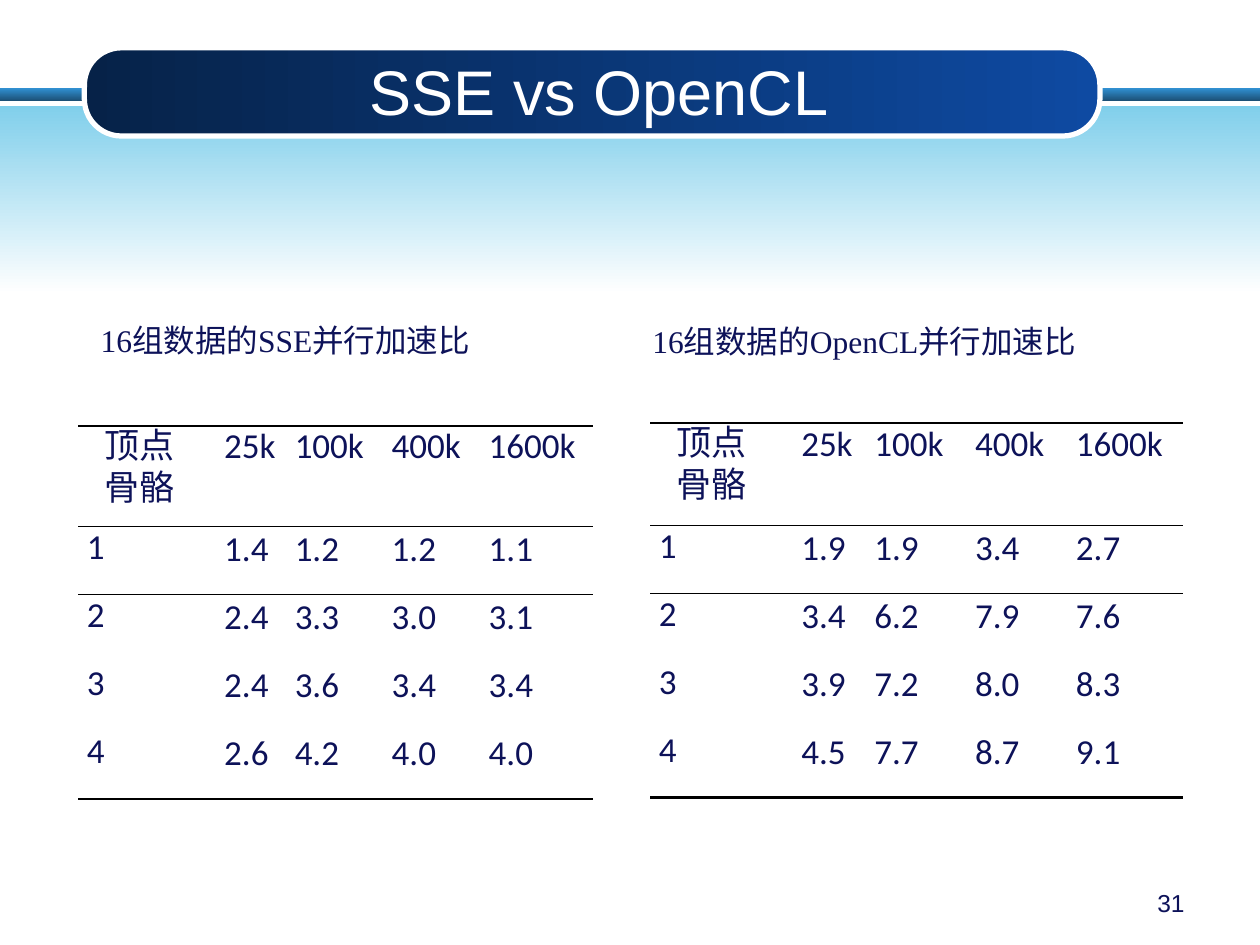
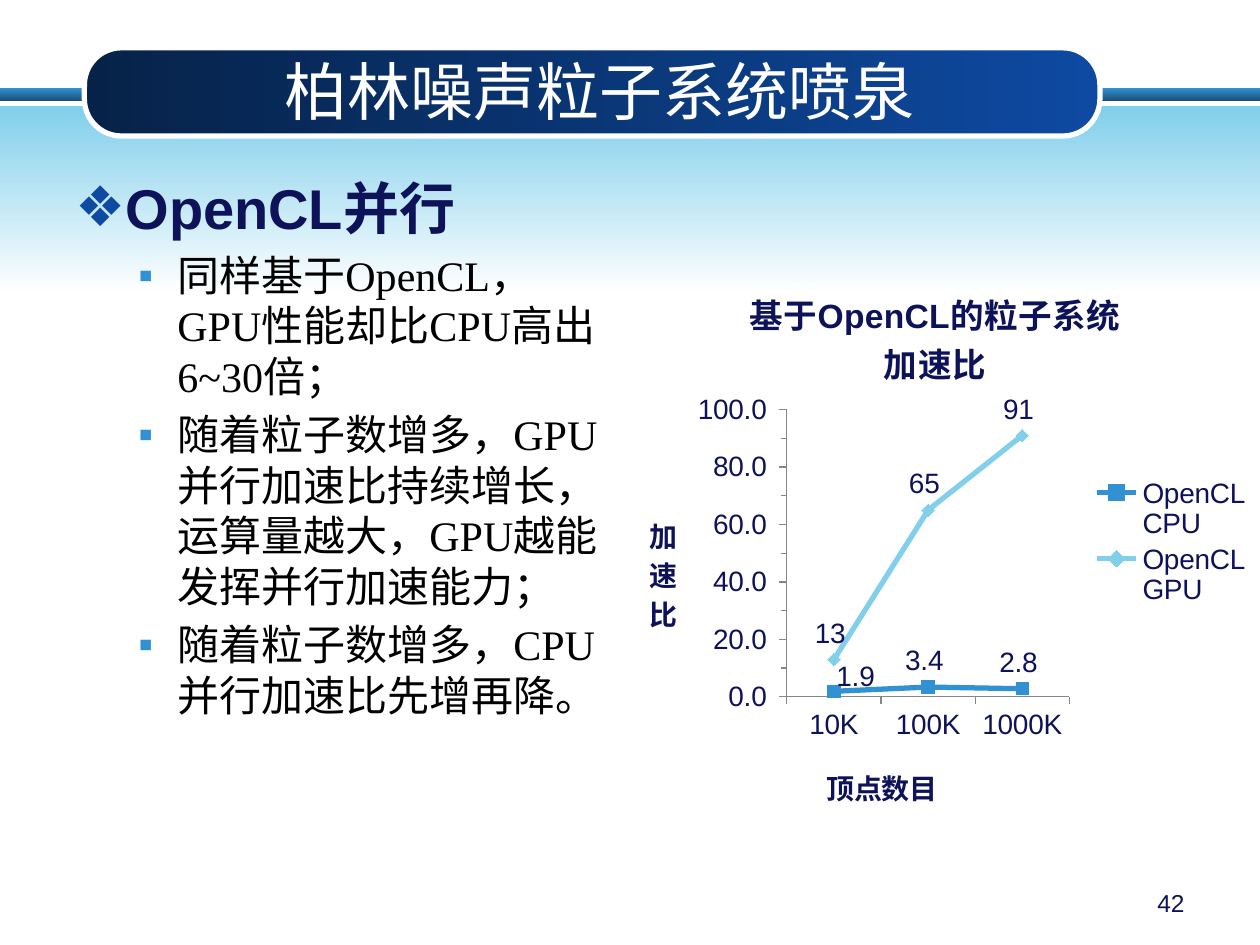
"""Builds two slides on OpenCL speed-ups: paired tables and a particle-system chart."""
from lxml import etree
from pptx import Presentation
from pptx.chart.data import CategoryChartData
from pptx.dml.color import RGBColor
from pptx.enum.chart import (XL_CHART_TYPE, XL_LABEL_POSITION, XL_LEGEND_POSITION,
                             XL_MARKER_STYLE, XL_TICK_MARK)
from pptx.enum.shapes import MSO_SHAPE
from pptx.enum.text import MSO_ANCHOR, PP_ALIGN
from pptx.oxml import parse_xml
from pptx.oxml.ns import nsdecls, qn
from pptx.util import Inches, Pt

LINE_CHART = XL_CHART_TYPE.LINE_MARKERS
LABEL_ABOVE = XL_LABEL_POSITION.ABOVE
LEGEND_RIGHT = XL_LEGEND_POSITION.RIGHT
SQUARE, DIAMOND = XL_MARKER_STYLE.SQUARE, XL_MARKER_STYLE.DIAMOND
TICK_OUT = XL_TICK_MARK.OUTSIDE
RECT, ROUNDED = MSO_SHAPE.RECTANGLE, MSO_SHAPE.ROUNDED_RECTANGLE
MIDDLE, TOP = MSO_ANCHOR.MIDDLE, MSO_ANCHOR.TOP
LEFT, CENTER, RIGHT = PP_ALIGN.LEFT, PP_ALIGN.CENTER, PP_ALIGN.RIGHT
JUSTIFY = PP_ALIGN.JUSTIFY

WHITE = RGBColor(0xFF, 0xFF, 0xFF)
BLACK = RGBColor(0, 0, 0)
NAVY = RGBColor(0x0D, 0x12, 0x59)
DEEP = RGBColor(0x06, 0x22, 0x48)
ROYAL = RGBColor(0x0E, 0x4A, 0xA2)
BLUE = RGBColor(0x31, 0x91, 0xD3)
STEEL = RGBColor(0x1C, 0x50, 0x76)
SKY = RGBColor(0x81, 0xCF, 0xEB)
GRAY = RGBColor(0x86, 0x86, 0x86)
ARIAL, CALIBRI, TIMES = "Arial", "Calibri", "Times New Roman"
NO_TABLE_STYLE = "{2D5ABB26-0587-4C30-8999-92F81FD0307C}"

BANDS = [
    (RECT, (0, 0.7, 10, 0.1), (BLUE, STEEL), 270),
    (RECT, (0, 0.84, 10, 1.49), (SKY, WHITE), 270),
    (ROUNDED, (0.67, 0.38, 8.06, 0.7), (DEEP, ROYAL), 0),
]

CORNER = ["顶点", "骨骼"]
VERTEX_COUNTS = ["25k", "100k", "400k", "1600k"]
SPEEDUP_TABLES = [
    dict(caption="16组数据的SSE并行加速比", caption_at=(0.7, 2.5, 4.3, 0.4),
         corner_at=(0.62, 3.38), widths=[1.09, 0.56, 0.77, 0.77, 0.9], header=0.8,
         rows=[["1.4", "1.2", "1.2", "1.1"], ["2.4", "3.3", "3.0", "3.1"],
               ["2.4", "3.6", "3.4", "3.4"], ["2.6", "4.2", "4.0", "4.0"]]),
    dict(caption="16组数据的OpenCL并行加速比", caption_at=(5.08, 2.51, 4.3, 0.4),
         corner_at=(5.16, 3.36), widths=[1.13, 0.58, 0.8, 0.8, 0.92], header=0.81,
         rows=[["1.9", "1.9", "3.4", "2.7"], ["3.4", "6.2", "7.9", "7.6"],
               ["3.9", "7.2", "8.0", "8.3"], ["4.5", "7.7", "8.7", "9.1"]]),
]
ROW_HEIGHT = 0.54

FOUNTAIN_HEADING = "OpenCL并行"
FOUNTAIN_POINTS = [
    "同样基于OpenCL，GPU性能却比CPU高出6~30倍；",
    "随着粒子数增多，GPU并行加速比持续增长，运算量越大，GPU越能发挥并行加速能力；",
    "随着粒子数增多，CPU并行加速比先增再降。",
]
CHART_TITLE = ["基于OpenCL的粒子系统", "加速比"]
PARTICLE_COUNTS = ["10K", "100K", "1000K"]
DEVICES = [
    ("OpenCL\nCPU", [1.9, 3.4, 2.8], BLUE, SQUARE, "0.0_ "),
    ("OpenCL\nGPU", [13, 65, 91], SKY, DIAMOND, "0_ "),
]


def write(frame, text, size=20, color=NAVY, font=ARIAL, bold=False, align=LEFT,
          before=0, exact=None, indent=None, bullet=None, bullet_color=None):
    """Add one formatted paragraph, filling the first one when it is empty."""
    first = frame.paragraphs[0]
    paragraph = frame.add_paragraph() if first.text else first
    properties = paragraph._p.get_or_add_pPr()
    paragraph.alignment = align
    if before:
        paragraph.space_before = Pt(before)
    if exact:
        paragraph.line_spacing = Pt(exact)
    if indent:
        margin, hanging = indent
        properties.set("marL", str(Inches(margin)))
        properties.set("indent", str(Inches(hanging)))
    if bullet:
        tint = etree.SubElement(properties, qn("a:buClr"))
        etree.SubElement(tint, qn("a:srgbClr"), val=str(bullet_color))
        etree.SubElement(properties, qn("a:buFont"), typeface=ARIAL)
        etree.SubElement(properties, qn("a:buChar"), char=bullet)
    run = paragraph.add_run()
    run.text = text
    run.font.size, run.font.bold, run.font.name = Pt(size), bold, font
    run.font.color.rgb = color


def inches(box):
    """Turn a tuple of inches into lengths."""
    return [Inches(length) for length in box]


def add_text_frame(slide, box):
    """Add a wrapping text box and return its frame."""
    frame = slide.shapes.add_textbox(*inches(box)).text_frame
    frame.word_wrap = True
    return frame


def start_slide(deck, heading, number):
    """Add a slide with the shared bands, title and page number."""
    slide = deck.slides.add_slide(deck.slide_layouts[5])
    for preset, box, stops, angle in BANDS:
        band = slide.shapes.add_shape(preset, *inches(box))
        band.shadow.inherit = False
        band.fill.gradient()
        band.fill.gradient_angle = angle
        for stop, color in zip(band.fill.gradient_stops, stops):
            stop.color.rgb = color
        if preset == ROUNDED:
            band.adjustments[0] = 0.42
            band.line.color.rgb, band.line.width = WHITE, Pt(3)
        else:
            band.line.fill.background()
    title = slide.shapes.title
    band.element.addnext(title.element)
    title.left, title.top, title.width, title.height = inches((0.92, 0.41, 7.67, 0.62))
    title.text_frame.vertical_anchor = MIDDLE
    write(title.text_frame, heading, size=36, color=WHITE, align=CENTER)
    write(add_text_frame(slide, (7.17, 7, 2.33, 0.35)), number, size=14, align=RIGHT)
    return slide


def rule_cell(cell, side, points):
    """Draw a black border on the top (lnT) or bottom (lnB) of a cell."""
    cell._tc.get_or_add_tcPr().insert(0, parse_xml(
        f'<a:{side} {nsdecls("a")} w="{Pt(points)}"><a:solidFill>'
        f'<a:srgbClr val="{BLACK}"/></a:solidFill></a:{side}>'))


def add_speedup_table(slide, caption, caption_at, corner_at, widths, header, rows):
    """Add a caption and a three-rule table of speed-ups."""
    write(add_text_frame(slide, caption_at), caption, size=18, font=TIMES)
    grid = [[CORNER] + [[count] for count in VERTEX_COUNTS]]
    grid += [[[str(bones)]] + [[value] for value in row]
             for bones, row in enumerate(rows, 1)]
    heights = [header] + [ROW_HEIGHT] * len(rows)
    table = slide.shapes.add_table(len(grid), len(widths), *inches(
        (*corner_at, sum(widths), sum(heights)))).table
    table.first_row = table.horz_banding = False
    table._tbl.tblPr.find(qn("a:tableStyleId")).text = NO_TABLE_STYLE
    for column, width in zip(table.columns, widths):
        column.width = Inches(width)
    last = len(rows)
    for r, (row, height) in enumerate(zip(grid, heights)):
        table.rows[r].height = Inches(height)
        for c, lines in enumerate(row):
            cell = table.cell(r, c)
            label = r == 0 or c == 0
            cell.fill.background()
            cell.margin_left = cell.margin_right = Inches(0.07)
            cell.margin_top, cell.margin_bottom = Inches(0.17 if label else 0), 0
            cell.vertical_anchor = TOP if label else MIDDLE
            for i, line in enumerate(lines):
                write(cell.text_frame, line, align=JUSTIFY, exact=12, before=12 * i,
                      font=TIMES if lines is CORNER else CALIBRI,
                      indent=(0, 0.14) if lines is CORNER else None)
            if r in (0, last):
                rule_cell(cell, "lnB", 1 if r == 0 else 1.5)
            if r in (0, 1):
                rule_cell(cell, "lnT", 1.5 if r == 0 else 1)


def layout_xml(x, y, w=None, h=None, inner=False, offset=False):
    """Build a manual chart layout from fractions of the chart."""
    target = '<c:layoutTarget val="inner"/>' if inner else ""
    modes = "" if offset else '<c:xMode val="edge"/><c:yMode val="edge"/>'
    sizes = f'<c:w val="{w}"/><c:h val="{h}"/>' if w else ""
    return parse_xml(f'<c:layout {nsdecls("c")}><c:manualLayout>{target}{modes}'
                     f'<c:x val="{x}"/><c:y val="{y}"/>{sizes}</c:manualLayout></c:layout>')


def place(parent, after, layout):
    """Put a layout in a chart part, behind the child it must follow."""
    for stale in parent.findall(qn("c:layout")):
        parent.remove(stale)
    if after is None:
        parent.insert(0, layout)
    else:
        parent.find(qn(after)).addnext(layout)


def add_title(owner, lines, size, x, y):
    """Give a chart or an axis a bold title at a fixed place."""
    owner.has_title = True
    title = owner.chart_title if hasattr(owner, "chart_title") else owner.axis_title
    for line in lines:
        write(title.text_frame, line, size=size, bold=True, align=CENTER)
    place(title._element, "c:tx", layout_xml(x, y))
    return title


def add_speedup_chart(slide):
    """Add the line chart of CPU and GPU speed-ups."""
    data = CategoryChartData()
    data.categories = PARTICLE_COUNTS
    for name, values, *_ in DEVICES:
        data.add_series(name, values)
    chart = slide.shapes.add_chart(LINE_CHART, *inches((4.96, 2.02, 5.04, 4.56)), data).chart
    chart.font.size, chart.font.name = Pt(16), ARIAL
    chart.font.color.rgb = NAVY
    add_title(chart, CHART_TITLE, 19.2, 0.19, 0.05)
    chart.has_legend = True
    chart.legend.position = LEGEND_RIGHT
    chart.legend.include_in_layout = False
    place(chart.legend._element, "c:legendPos", layout_xml(0.73, 0.38, 0.26, 0.24))
    place(chart._chartSpace.chart.plotArea, None,
          layout_xml(0.255, 0.27, 0.445, 0.5, inner=True))

    counts, speedup = chart.category_axis, chart.value_axis
    for axis in (counts, speedup):
        axis.has_major_gridlines = False
        axis.major_tick_mark = TICK_OUT
        axis.format.line.color.rgb = GRAY
    speedup.minor_tick_mark = TICK_OUT
    speedup.minimum_scale, speedup.maximum_scale = 0, 100
    speedup.major_unit, speedup.minor_unit = 20, 10
    speedup.tick_labels.number_format = "0.0_ "
    speedup.tick_labels.number_format_is_linked = False
    add_title(counts, ["顶点数目"], 16, 0.31, 0.88)
    stacked = add_title(speedup, ["加速比"], 16, 0.03, 0.44)
    body = stacked.text_frame._txBody.bodyPr
    body.set("rot", "0")
    body.set("vert", "wordArtVert")

    chart.plots[0].vary_by_categories = False
    for series, (_, _, color, marker, number_format) in zip(chart.plots[0].series, DEVICES):
        series.smooth = False
        series.format.line.color.rgb, series.format.line.width = color, Pt(3)
        series.marker.style, series.marker.size = marker, 7
        series.marker.format.fill.solid()
        series.marker.format.fill.fore_color.rgb = color
        series.marker.format.line.color.rgb = color
        labels = series.data_labels
        labels.show_value, labels.position = True, LABEL_ABOVE
        labels.number_format, labels.number_format_is_linked = number_format, False
    cpu = chart.plots[0].series[0]
    cpu.points[0].data_label.position = LABEL_ABOVE
    shifted = cpu.data_labels._element.find(qn("c:dLbl"))
    place(shifted, "c:idx", layout_xml(0.04, 0.02, offset=True))


def main():
    """Build and save both slides."""
    deck = Presentation()
    deck.slide_width, deck.slide_height = Inches(10), Inches(7.5)

    comparison = start_slide(deck, "SSE vs OpenCL", "31")
    for speedups in SPEEDUP_TABLES:
        add_speedup_table(comparison, **speedups)

    fountain = start_slide(deck, "柏林噪声粒子系统喷泉", "42")
    outline = add_text_frame(fountain, (0.5, 1.33, 4.34, 5.58))
    write(outline, FOUNTAIN_HEADING, size=32, bold=True, indent=(0.38, -0.38),
          bullet="❖", bullet_color=ROYAL)
    for point in FOUNTAIN_POINTS:
        write(outline, point, size=24, color=BLACK, font=TIMES, before=4.8,
              indent=(0.81, -0.31), bullet="▪", bullet_color=BLUE)
    add_speedup_chart(fountain)
    deck.save("out.pptx")


if __name__ == "__main__":
    main()
